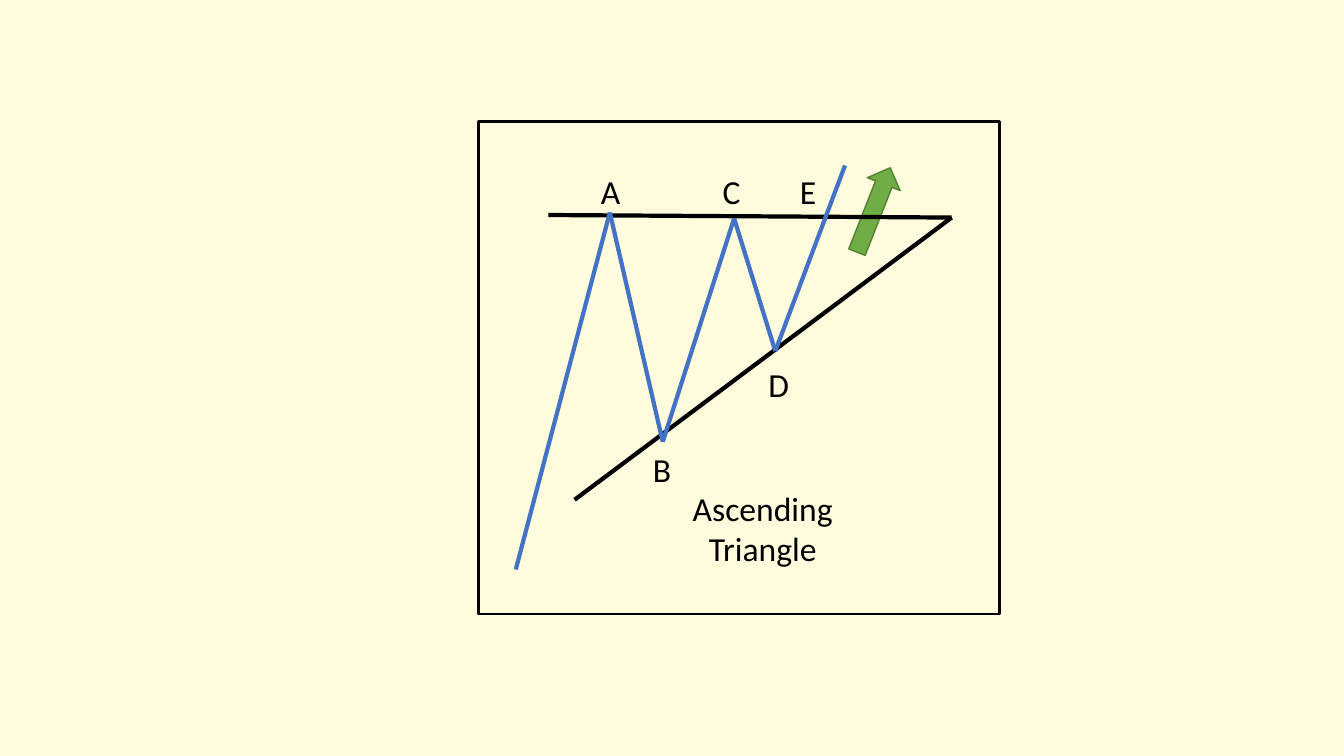
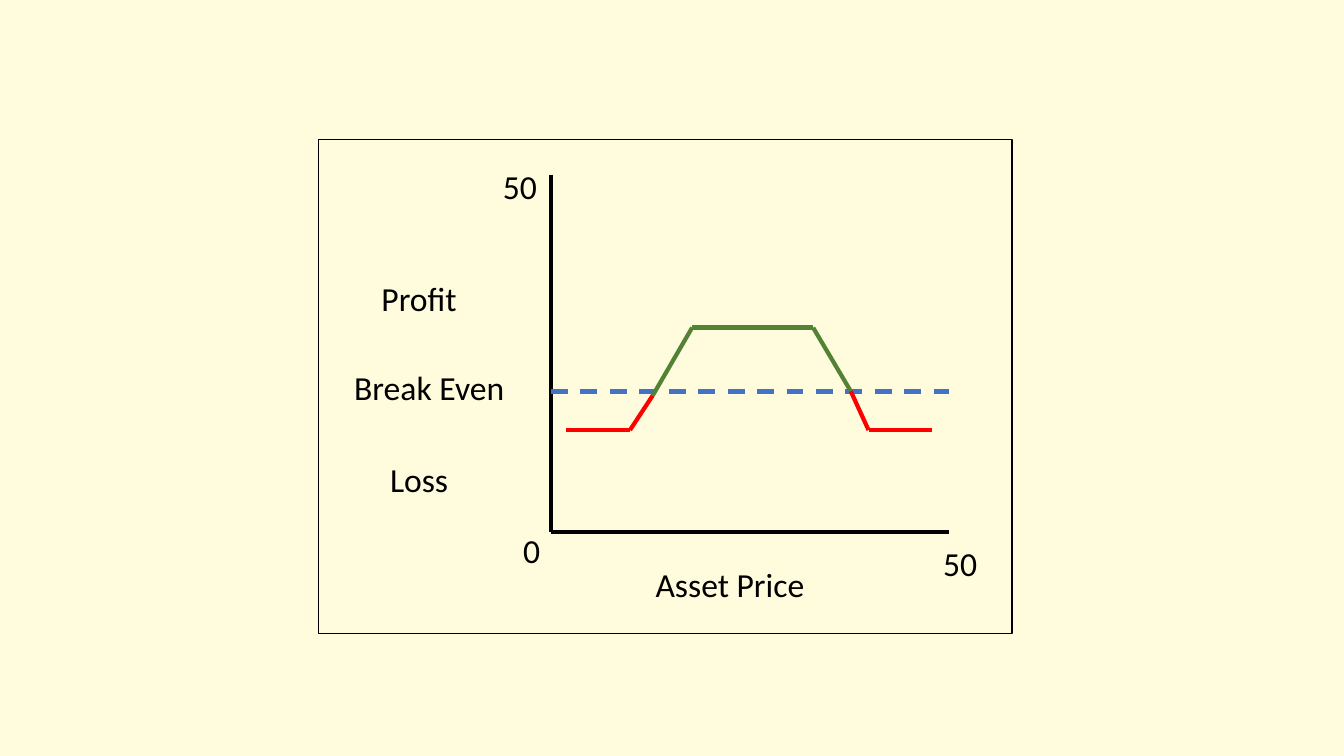
"""Build two trading diagrams: an ascending triangle and a payoff chart."""
from itertools import pairwise

from lxml.etree import SubElement
from pptx import Presentation
from pptx.dml.color import RGBColor
from pptx.enum.dml import MSO_LINE
from pptx.enum.shapes import MSO_CONNECTOR, MSO_SHAPE
from pptx.enum.text import MSO_AUTO_SIZE, PP_ALIGN
from pptx.oxml.ns import qn
from pptx.util import Inches, Pt

COLORS = {
    "paper": "FFFBDD",
    "ink": "000000",
    "price": "4472C4",
    "arrow": "70AD47",
    "arrow edge": "538035",
    "profit": "548235",
    "loss": "FF0000",
}
FONT = "Calibri"
TEXT_SIZE = Pt(24)
STROKE = Pt(3)
CELL = Inches(1 / 12)
COLUMNS, ROWS = 160, 90
LABEL_ROWS = 6


def draw_path(page, color, points, dash=None):
    """Join successive grid points with straight connectors."""
    for start, end in pairwise(points):
        ends = [round(value * CELL) for value in start + end]
        segment = page.shapes.add_connector(MSO_CONNECTOR.STRAIGHT, *ends)
        segment.line.color.rgb = RGBColor.from_string(COLORS[color])
        segment.line.width = STROKE
        if dash:
            segment.line.dash_style = dash
        SubElement(segment._element.spPr, qn("a:effectLst"))


def write_label(page, center, top, width, *lines):
    """Write centred lines of text around a grid column."""
    area = (center - width / 2, top, width, LABEL_ROWS * len(lines))
    box = page.shapes.add_textbox(*[round(value * CELL) for value in area])
    frame = box.text_frame
    frame.word_wrap = True
    frame.auto_size = MSO_AUTO_SIZE.SHAPE_TO_FIT_TEXT
    for index, line in enumerate(lines):
        para = frame.add_paragraph() if index else frame.paragraphs[0]
        para.alignment = PP_ALIGN.CENTER
        span = para.add_run()
        span.text = line
        span.font.name = FONT
        span.font.size = TEXT_SIZE
        span.font.color.rgb = RGBColor.from_string(COLORS["ink"])


deck = Presentation()
deck.slide_width = COLUMNS * CELL
deck.slide_height = ROWS * CELL

pages = []
for area, weight in [((57, 14.5, 62, 58.6), 2), ((37.9, 16.6, 82.6, 58.8), 1)]:
    page = deck.slides.add_slide(deck.slide_layouts[6])
    page.background.fill.solid()
    page.background.fill.fore_color.rgb = RGBColor.from_string(COLORS["paper"])
    border = page.shapes.add_shape(
        MSO_SHAPE.RECTANGLE, *[round(value * CELL) for value in area]
    )
    border.shadow.inherit = False
    border.fill.background()
    border.line.color.rgb = RGBColor.from_string(COLORS["ink"])
    border.line.width = Pt(weight)
    pages.append(page)
triangle_page, payoff_page = pages

breakout = triangle_page.shapes.add_shape(
    MSO_SHAPE.UP_ARROW,
    *[round(value * CELL) for value in (101.9, 19.6, 4.2, 10.8)],
)
breakout.rotation = 21.5
breakout.shadow.inherit = False
breakout.fill.solid()
breakout.fill.fore_color.rgb = RGBColor.from_string(COLORS["arrow"])
breakout.line.color.rgb = RGBColor.from_string(COLORS["arrow edge"])
breakout.line.width = Pt(1)

apex = (113.3, 25.9)
draw_path(triangle_page, "ink", [(65.3, 25.6), apex, (68.4, 59.5)])
price_points = [
    (61.4, 67.8), (72.6, 25.3), (78.9, 52.6),
    (87.4, 26), (92.3, 41.8), (100.6, 19.7),
]
draw_path(triangle_page, "price", price_points)

peak_top = 19.7
for letter, center, top in [
    ("A", 72.7, peak_top),
    ("B", 78.8, 52.9),
    ("C", 87.1, peak_top),
    ("D", 92.7, 42.7),
    ("E", 96.2, peak_top),
]:
    write_label(triangle_page, center, top, 6.6, letter)
write_label(triangle_page, 90.8, 57.5, 38.8, "Ascending", "Triangle")

left, right, base, break_even = 65.6, 113, 63.3, 46.6
draw_path(payoff_page, "ink", [(left, 20.8), (left, base), (right, base)])
draw_path(
    payoff_page, "price", [(left, break_even), (right, break_even)], MSO_LINE.DASH
)

floor, ceiling = 51.2, 39
rise, fall = (77.7, 47.1), (101.3, break_even)
for color, points in [
    ("loss", [(67.4, floor), (75, floor), rise]),
    ("profit", [rise, (82.4, ceiling), (96.8, ceiling), fall]),
    ("loss", [fall, (103.4, floor), (110.9, floor)]),
]:
    draw_path(payoff_page, color, points)

for text, center, top, width in [
    ("Asset Price", 86.9, 66.5, 28.9),
    ("Profit", 49.9, 32.5, 12.7),
    ("Break Even", 51.1, 43.1, 23.2),
    ("Loss", 49.9, 54.1, 11),
    ("0", 63.3, 62.5, 7.6),
    ("50", 114.3, 64, 7.6),
    ("50", 61.9, 19.2, 7.6),
]:
    write_label(payoff_page, center, top, width, text)

deck.save("out.pptx")
